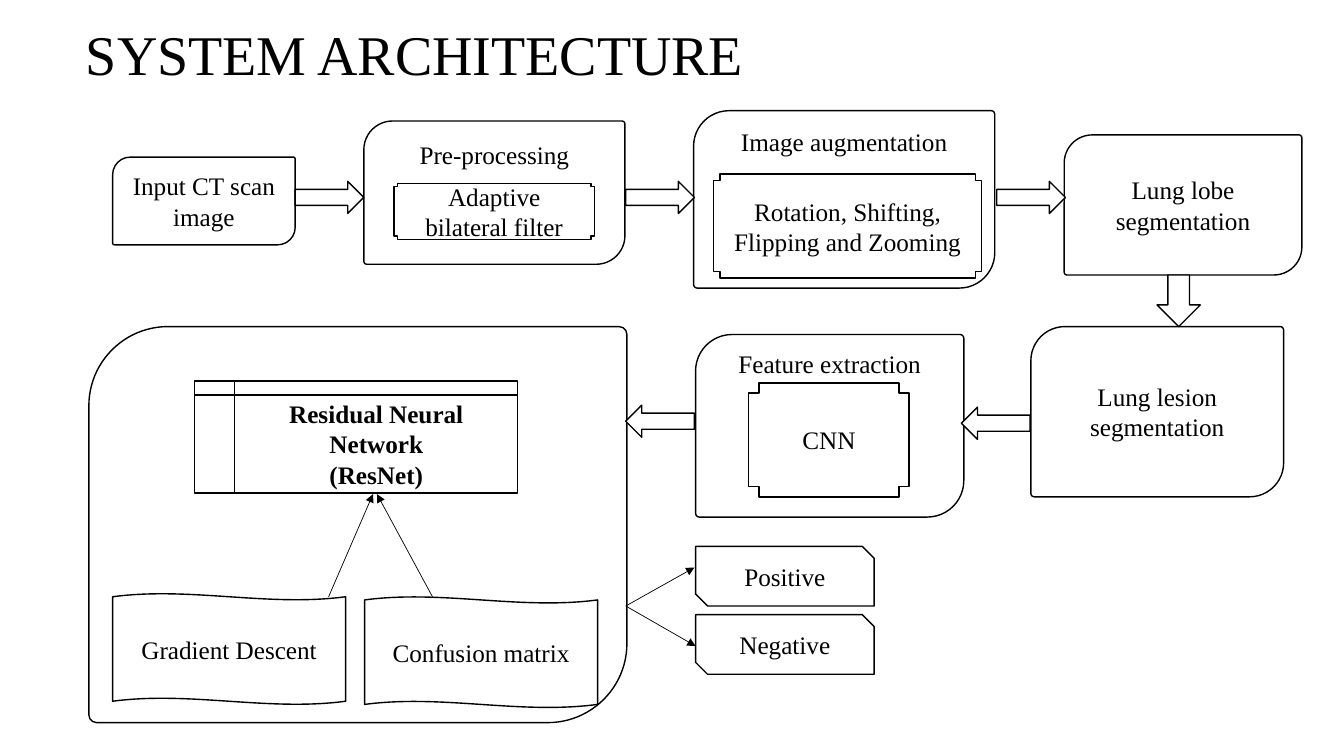
"""Build the system architecture slide for lung CT classification."""
import pptx
import pptx.dml.color
import pptx.enum.shapes
import pptx.enum.text
import pptx.oxml.ns
import pptx.util
from lxml import etree
from pptx.util import Cm

BLACK = pptx.dml.color.RGBColor(0x00, 0x00, 0x00)
WHITE = pptx.dml.color.RGBColor(0xFF, 0xFF, 0xFF)
FONT = "Times New Roman"
SHAPE = pptx.enum.shapes.MSO_SHAPE
ALIGN = pptx.enum.text.PP_ALIGN
ANCHOR = pptx.enum.text.MSO_ANCHOR

ARROW_LENGTH, ARROW_WIDTH = 1.73, 0.81
WAVE_SIZE = (5.87, 2.79)
OUTCOME_SIZE = (4.5, 1.5)


def write_text(frame, text, size, align, bold=False):
    frame.text = text
    frame.word_wrap = True
    for paragraph in frame.paragraphs:
        paragraph.alignment = align
        for run in paragraph.runs:
            run.font.name = FONT
            run.font.size = pptx.util.Pt(size)
            run.font.bold = bold
            run.font.color.rgb = BLACK


def add_title(slide, text):
    title = slide.shapes.title
    title.left, title.top, title.width, title.height = Cm(1.91), Cm(0.46), Cm(18.97), Cm(1.96)
    write_text(title.text_frame, text, 40, ALIGN.LEFT)
    title.text_frame.vertical_anchor = ANCHOR.MIDDLE
    title.text_frame.paragraphs[0].line_spacing = 0.9


def add_node(slide, kind, box, text="", adjustments=(), bold=False):
    node = slide.shapes.add_shape(kind, *(Cm(length) for length in box))
    node.shadow.inherit = False
    node.fill.solid()
    node.fill.fore_color.rgb = WHITE
    node.line.color.rgb = BLACK
    node.line.width = pptx.util.Pt(1)
    for index, value in enumerate(adjustments):
        node.adjustments[index] = value
    if text:
        write_text(node.text_frame, text, 18, ALIGN.CENTER, bold)
        node.text_frame.vertical_anchor = ANCHOR.MIDDLE
    return node


def add_stage(slide, box, text="", heading_gap=None):
    stage = add_node(slide, SHAPE.ROUND_2_DIAG_RECTANGLE, box, text, (0.2, 0.02))
    if heading_gap is not None:
        stage.text_frame.vertical_anchor = ANCHOR.TOP
        stage.text_frame.margin_top = Cm(heading_gap)


def add_method(slide, box, text, notch):
    add_node(slide, SHAPE.CROSS, box, text, (notch,))


def add_link(slide, start, end):
    link = slide.shapes.add_connector(
        pptx.enum.shapes.MSO_CONNECTOR.STRAIGHT, *(Cm(length) for length in start + end))
    link.line.color.rgb = BLACK
    link.line.width = pptx.util.Pt(0.5)
    etree.SubElement(link.line._get_or_add_ln(), pptx.oxml.ns.qn("a:tailEnd"), type="triangle")
    etree.SubElement(link._element.spPr, pptx.oxml.ns.qn("a:effectLst"))


def main():
    deck = pptx.Presentation()
    deck.slide_width, deck.slide_height = Cm(33.87), Cm(19.05)
    slide = deck.slides.add_slide(deck.slide_layouts[5])
    add_title(slide, "SYSTEM ARCHITECTURE")

    add_stage(slide, (2.84, 3.96, 4.6, 2.21), "Input CT scan image")
    add_stage(slide, (9.17, 3.05, 6.58, 3.61), "Pre-processing", 0.25)
    add_stage(slide, (17.48, 2.79, 7.59, 4.47), "Image augmentation", 0.13)
    add_stage(slide, (26.82, 3.4, 5.99, 3.53), "Lung lobe segmentation")
    add_stage(slide, (25.98, 8.23, 6.37, 4.29), "Lung lesion segmentation")
    add_stage(slide, (17.53, 8.43, 6.76, 4.6), "Feature extraction", 0.08)
    add_stage(slide, (2.24, 8.23, 13.56, 9.98))

    add_method(slide, (9.93, 4.62, 5.05, 1.42), "Adaptive bilateral filter", 0.062)
    add_method(slide, (17.98, 4.39, 6.76, 2.62), "Rotation, Shifting, Flipping and Zooming", 0.062)
    add_method(slide, (18.87, 9.65, 4.04, 2.87), "CNN", 0.089)

    for left in (7.44, 15.77, 25.12):
        add_node(slide, SHAPE.RIGHT_ARROW, (left, 4.57, ARROW_LENGTH, ARROW_WIDTH))
    for left, top in ((24.23, 10.26), (15.77, 10.21)):
        add_node(slide, SHAPE.LEFT_ARROW, (left, top, ARROW_LENGTH, ARROW_WIDTH))
    add_node(slide, SHAPE.DOWN_ARROW, (29.16, 6.93, 1.09, 1.3))

    add_node(slide, SHAPE.FLOWCHART_INTERNAL_STORAGE, (4.9, 9.6, 8.15, 2.82),
             "Residual Neural Network\n(ResNet)", bold=True)
    for left, top, text in ((2.84, 14.96, "Gradient Descent"), (9.19, 15.04, "Confusion matrix")):
        add_node(slide, SHAPE.WAVE, (left, top, *WAVE_SIZE), text, (0.028, 0))
    for top, text in ((13.77, "Positive"), (15.49, "Negative")):
        add_node(slide, SHAPE.SNIP_2_DIAG_RECTANGLE, (17.53, top, *OUTCOME_SIZE), text, (0, 0.2))

    add_link(slide, (8.28, 15.04), (9.4, 12.45))
    add_link(slide, (10.9, 15.04), (9.5, 12.45))
    for target in ((17.5, 14.3), (17.53, 16.28)):
        add_link(slide, (15.77, 15.27), target)

    deck.save("out.pptx")


if __name__ == "__main__":
    main()
